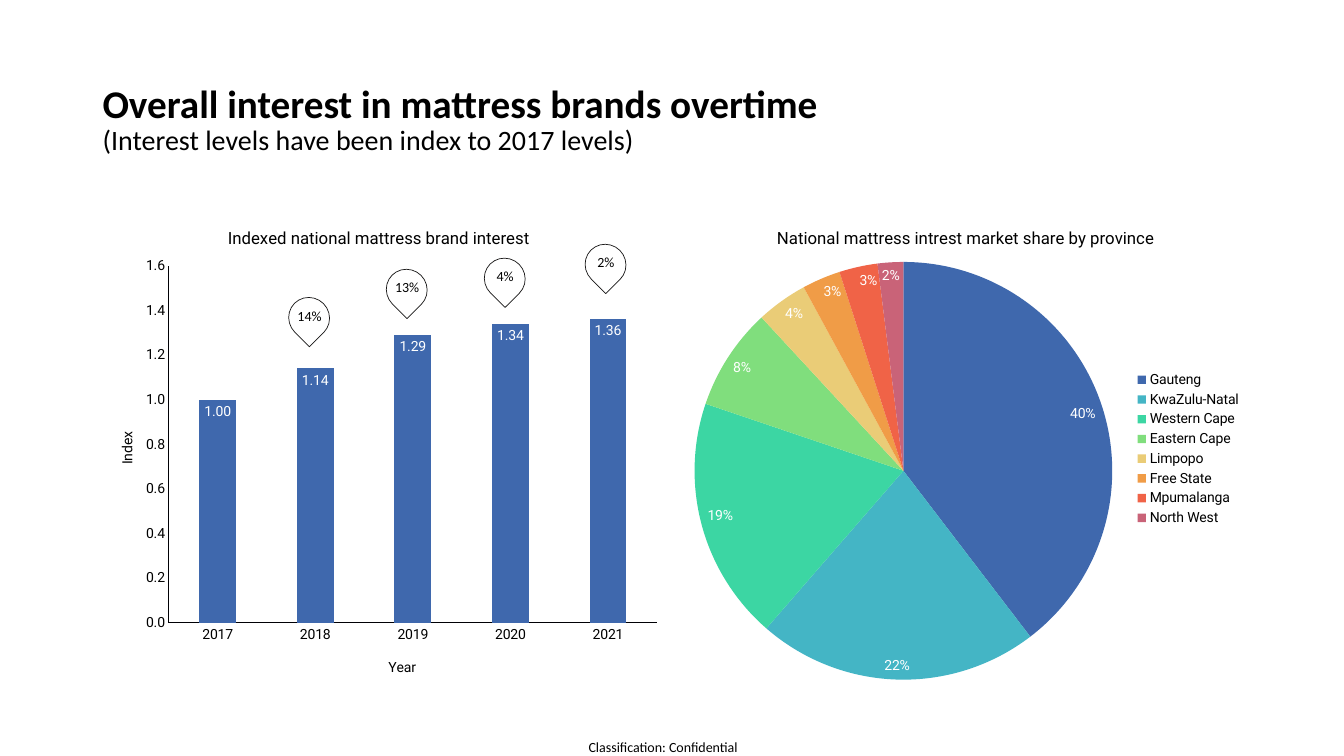
from lxml import etree
from pptx import Presentation
from pptx.chart.data import CategoryChartData
from pptx.dml.color import RGBColor
from pptx.enum.chart import XL_CHART_TYPE, XL_LABEL_POSITION, XL_LEGEND_POSITION, XL_TICK_MARK
from pptx.enum.shapes import MSO_SHAPE
from pptx.enum.text import MSO_ANCHOR, MSO_AUTO_SIZE, PP_ALIGN
from pptx.oxml.ns import qn
from pptx.util import Cm, Pt

COLUMN, PIE = XL_CHART_TYPE.COLUMN_CLUSTERED, XL_CHART_TYPE.PIE
INSIDE_END = XL_LABEL_POSITION.INSIDE_END
LEGEND_RIGHT = XL_LEGEND_POSITION.RIGHT
NO_TICK = XL_TICK_MARK.NONE
TEARDROP = MSO_SHAPE.TEAR
MIDDLE, NO_FIT = MSO_ANCHOR.MIDDLE, MSO_AUTO_SIZE.NONE
LEFT, CENTER = PP_ALIGN.LEFT, PP_ALIGN.CENTER
TITLE_ONLY = 5

COLORS = {"text": "000000", "label": "FFFFFF", "axis": "000005", "pin": "181717", "bar": "3F68AD"}
INTEREST = {"2017": 1.00, "2018": 1.14, "2019": 1.29, "2020": 1.34, "2021": 1.36}
PROVINCES = {
    "Gauteng": (40, "3F68AD"),
    "KwaZulu-Natal": (22, "44B5C5"),
    "Western Cape": (19, "3CD6A3"),
    "Eastern Cape": (8, "80DE7D"),
    "Limpopo": (4, "EACC77"),
    "Free State": (3, "F09C47"),
    "Mpumalanga": (3, "F06347"),
    "North West": (2, "C96378"),
}
GROWTH_PINS = [("14%", 4.95, 2.36), ("13%", 7.41, 1.65), ("4%", 9.88, 1.37), ("2%", 12.42, 1.02)]


def rgb(name):
    """Return the colour of a palette entry."""
    return RGBColor.from_string(COLORS[name])


def style_font(font, face, size, color="text", bold=False):
    """Set face, size, colour and weight of a font."""
    font.name, font.size, font.bold = face, Pt(size), bold
    font.color.rgb = rgb(color)


def place_part(chart, part, index, inner=False, **fractions):
    """Place a chart part at fractions of the chart's box."""
    element = chart.element.xpath(part)[0]
    for old in element.findall(qn("c:layout")):
        element.remove(old)
    layout = etree.Element(qn("c:layout"))
    manual = etree.SubElement(layout, qn("c:manualLayout"))
    settings = {"layoutTarget": "inner"} if inner else {}
    settings.update(xMode="edge", yMode="edge", **fractions)
    for tag, value in settings.items():
        etree.SubElement(manual, qn("c:" + tag)).set("val", str(value))
    element.insert(index, layout)


def write_title(owner, words, size):
    """Give a chart or an axis its title."""
    owner.has_title = True
    frame = owner.axis_title.text_frame if hasattr(owner, "axis_title") else owner.chart_title.text_frame
    frame.text = words
    style_font(frame.paragraphs[0].font, "Roboto", size)


def add_labelled_chart(slide, box, kind, values, title, number_format):
    """Add a one-series chart with a title and white inside labels."""
    data = CategoryChartData()
    data.categories = list(values)
    data.add_series("Series 1", list(values.values()))
    chart = slide.shapes.add_chart(kind, *(Cm(length) for length in box), data).chart
    style_font(chart.font, "Calibri", 10)
    write_title(chart, title, 12)
    chart.has_legend = False
    plot = chart.plots[0]
    plot.vary_by_categories = kind == PIE
    plot.has_data_labels = True
    labels = plot.data_labels
    labels.show_value, labels.show_percentage = kind != PIE, kind == PIE
    labels.number_format, labels.number_format_is_linked = number_format, False
    labels.position = INSIDE_END
    style_font(labels.font, "Roboto", 10, "label")
    return chart


def add_heading(slide, left, top, width, height):
    """Fill the title placeholder with heading and subheading."""
    heading = slide.shapes.title
    heading.left, heading.top, heading.width, heading.height = map(Cm, (left, top, width, height))
    frame = heading.text_frame
    frame.auto_size, frame.vertical_anchor, frame.word_wrap = NO_FIT, MIDDLE, True
    paragraph = frame.paragraphs[0]
    paragraph.alignment, paragraph.line_spacing = LEFT, 0.9
    topic = paragraph.add_run()
    topic.text = "Overall interest in mattress brands overtime"
    style_font(topic.font, "Calibri", 28, bold=True)
    paragraph.add_line_break()
    basis = paragraph.add_run()
    basis.text = "(Interest levels have been index to 2017 levels)"
    style_font(basis.font, "Calibri", 20)


def add_interest_chart(slide, left, top, width, height):
    """Draw yearly interest columns with growth pins above them."""
    chart = add_labelled_chart(slide, (left, top, width, height), COLUMN, INTEREST,
                               "Indexed national mattress brand interest", "0.00")
    plot = chart.plots[0]
    plot.gap_width, plot.overlap = 165, -27
    bars = plot.series[0].format.fill
    bars.solid()
    bars.fore_color.rgb = rgb("bar")
    for axis, name in ((chart.category_axis, "Year"), (chart.value_axis, "Index")):
        write_title(axis, name, 10)
        axis.has_major_gridlines = False
        axis.major_tick_mark = axis.minor_tick_mark = NO_TICK
        style_font(axis.tick_labels.font, "Roboto", 10)
        axis.format.line.color.rgb = rgb("axis")
        axis.format.line.width = Pt(0.75)
    index_axis = chart.value_axis
    index_axis.minimum_scale, index_axis.maximum_scale, index_axis.major_unit = 0, 1.6, 0.2
    index_axis.tick_labels.number_format = "0.0"
    index_axis.tick_labels.number_format_is_linked = False
    place_part(chart, "c:chart/c:title", 1, x=0.23, y=0.04)
    place_part(chart, "c:chart/c:plotArea", 0, True, x=0.133, y=0.127, w=0.848, h=0.727)
    place_part(chart, ".//c:catAx/c:title", 1, x=0.51, y=0.92)
    place_part(chart, ".//c:valAx/c:title", 1, x=0.04, y=0.46)
    for growth, pin_x, pin_y in GROWTH_PINS:
        add_growth_pin(slide, growth, left + pin_x, top + pin_y)


def add_growth_pin(slide, growth, left, top):
    """Draw a pin pointing down with its growth rate."""
    group = slide.shapes.add_group_shape().shapes
    pin = group.add_shape(TEARDROP, Cm(left), Cm(top), Cm(1.02), Cm(1.04))
    pin.rotation = 135
    pin.shadow.inherit = False
    pin.fill.background()
    pin.line.color.rgb = rgb("pin")
    pin.line.width = Pt(0.5)
    rate = group.add_textbox(Cm(left - 0.33), Cm(top + 0.03), Cm(1.7), Cm(0.86)).text_frame
    rate.word_wrap, rate.vertical_anchor = True, MIDDLE
    rate.text = growth
    rate.paragraphs[0].alignment = CENTER
    style_font(rate.paragraphs[0].font, "Calibri", 10)


def add_province_chart(slide, left, top, width, height):
    """Draw the market share of each province as a pie."""
    shares = {province: share for province, (share, _) in PROVINCES.items()}
    chart = add_labelled_chart(slide, (left, top, width, height), PIE, shares,
                               "National mattress intrest market share by province", "0%")
    for number, (_, color) in enumerate(PROVINCES.values()):
        slice_fill = chart.plots[0].series[0].points[number].format.fill
        slice_fill.solid()
        slice_fill.fore_color.rgb = RGBColor.from_string(color)
    chart.has_legend = True
    chart.legend.position = LEGEND_RIGHT
    chart.legend.include_in_layout = False
    style_font(chart.legend.font, "Roboto", 10)
    place_part(chart, "c:chart/c:title", 1, x=0.17, y=0.04)
    place_part(chart, "c:chart/c:plotArea", 0, True, x=0.032, y=0.119, w=0.726, h=0.851)
    place_part(chart, "c:chart/c:legend", 1, x=0.795, y=0.335, w=0.19, h=0.33)


def add_classification(slide, left, top, width, height):
    """Write the classification at the foot of the slide."""
    frame = slide.shapes.add_textbox(Cm(left), Cm(top), Cm(width), Cm(height)).text_frame
    frame.margin_left = frame.margin_right = frame.margin_top = frame.margin_bottom = 0
    frame.word_wrap = True
    frame.text = "Classification: Confidential"
    frame.paragraphs[0].alignment = CENTER
    style_font(frame.paragraphs[0].font, "Calibri", 10)


def main():
    """Build the slide and save it."""
    deck = Presentation()
    deck.slide_width, deck.slide_height = Cm(33.87), Cm(19.05)
    slide = deck.slides.add_slide(deck.slide_layouts[TITLE_ONLY])
    add_classification(slide, 14.78, 18.62, 3.86, 0.43)
    add_heading(slide, 2.33, 0.95, 29.21, 4.18)
    add_province_chart(slide, 17.04, 5.13, 14.5, 12.37)
    add_interest_chart(slide, 2.33, 5.13, 14.5, 12.37)
    deck.save("out.pptx")


if __name__ == "__main__":
    main()
